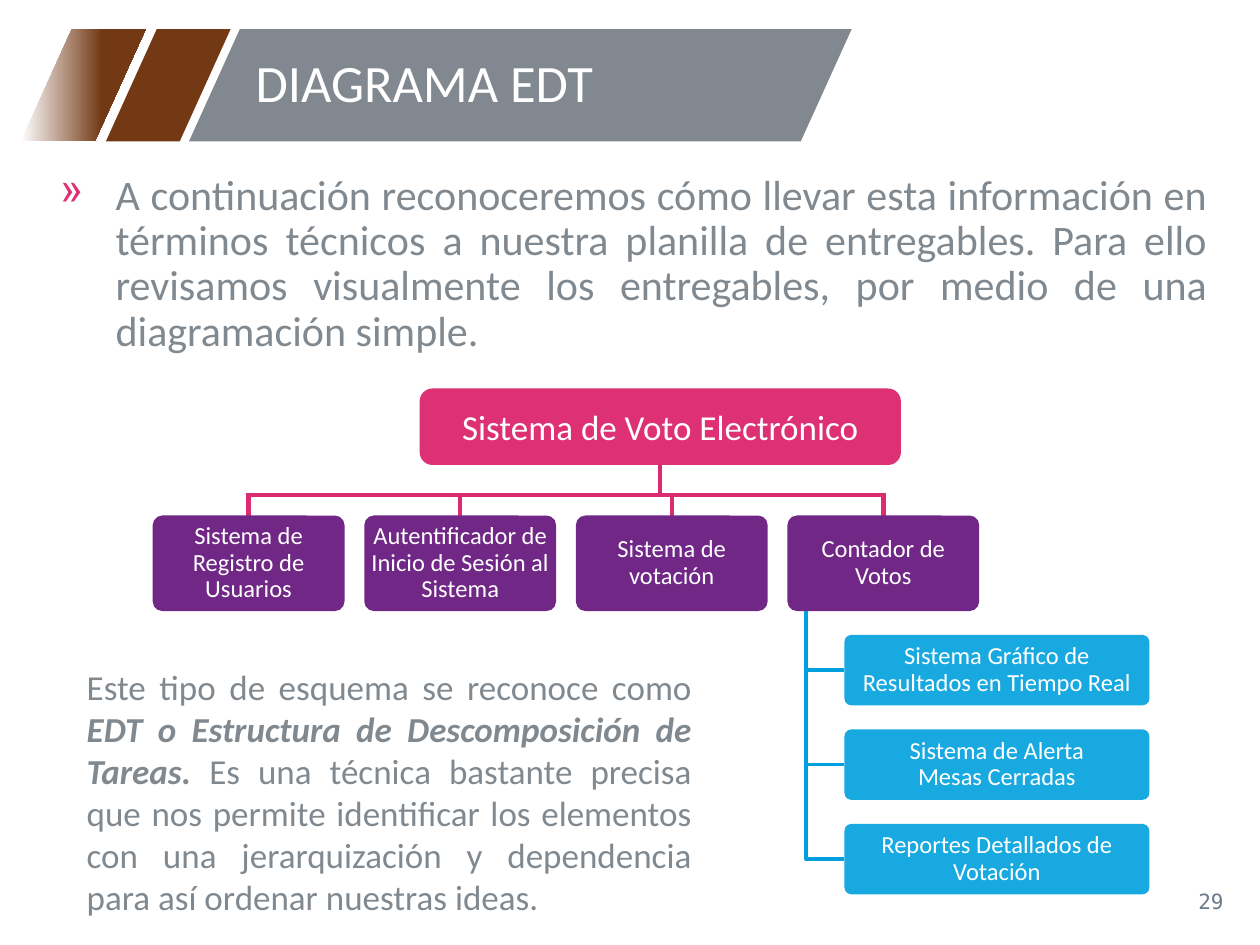
from dataclasses import dataclass

from lxml import etree
from pptx import Presentation
from pptx.dml.color import RGBColor
from pptx.enum import shapes, text
from pptx.oxml import ns
from pptx.util import Pt


@dataclass(frozen=True)
class Theme:
    white: str = "FFFFFF"
    brown: str = "733814"
    banner: str = "81888F"
    body: str = "818990"
    page: str = "6C7A8A"
    pink: str = "DE3075"
    branch: str = "DD2B72"
    purple: str = "702785"
    blue: str = "00A0DE"
    font: str = "Calibri"
    mono: str = "DejaVu Sans Mono"
    title_size: int = 30
    lead_size: int = 24
    text_size: int = 20
    box_size: int = 14
    page_size: int = 12


THEME = Theme()
LEFT, CENTER = text.PP_ALIGN.LEFT, text.PP_ALIGN.CENTER
RIGHT, JUSTIFY = text.PP_ALIGN.RIGHT, text.PP_ALIGN.JUSTIFY
TOP, MIDDLE = text.MSO_ANCHOR.TOP, text.MSO_ANCHOR.MIDDLE


def rgb(color):
    return RGBColor.from_string(color)


def write(shape, *pieces, size, color, font=THEME.font, align=LEFT, anchor=MIDDLE,
          margins=(7.2, 3.6), spacing=1.0, bullet=None):
    """Fill a shape with one paragraph; a (words,) tuple is bold italic."""
    frame = shape.text_frame
    frame.word_wrap = True
    frame.vertical_anchor = anchor
    frame.margin_left = frame.margin_right = Pt(margins[0])
    frame.margin_top = frame.margin_bottom = Pt(margins[1])
    paragraph = frame.paragraphs[0]
    if bullet:
        add_bullet(paragraph, bullet)
    paragraph.alignment = align
    paragraph.line_spacing = spacing
    for piece in pieces:
        stressed = isinstance(piece, tuple)
        words = piece[0] if stressed else piece
        for number, line in enumerate(words.split("\n")):
            if number:
                paragraph.add_line_break()
            run = paragraph.add_run()
            run.text = line
            run.font.name = font
            run.font.size = Pt(size)
            run.font.color.rgb = rgb(color)
            run.font.bold = run.font.italic = stressed


def add_bullet(paragraph, mark):
    properties = paragraph._p.get_or_add_pPr()
    properties.set("marL", str(Pt(36)))
    properties.set("indent", str(Pt(-31.7)))
    color = etree.SubElement(properties, ns.qn("a:buClr"))
    etree.SubElement(color, ns.qn("a:srgbClr"), val=THEME.pink)
    etree.SubElement(properties, ns.qn("a:buChar"), char=mark)


def add_text(slide, x, y, width, height, *pieces, **style):
    box = slide.shapes.add_textbox(Pt(x), Pt(y), Pt(width), Pt(height))
    write(box, *pieces, **style)


def add_block(slide, kind, x, y, width, height, color, corner, opacity=100):
    block = slide.shapes.add_shape(kind, Pt(x), Pt(y), Pt(width), Pt(height))
    block.shadow.inherit = False
    block.adjustments[0] = corner
    block.line.fill.background()
    block.fill.solid()
    block.fill.fore_color.rgb = rgb(color)
    if opacity < 100:
        tint = block._element.spPr.find(".//" + ns.qn("a:srgbClr"))
        etree.SubElement(tint, ns.qn("a:alpha"), val=str(opacity * 1000))
    return block


def add_node(slide, x, y, width, height, color, label, size=THEME.box_size,
             corner=0.1, opacity=100, spacing=0.9):
    node = add_block(slide, shapes.MSO_SHAPE.ROUNDED_RECTANGLE,
                     x, y, width, height, color, corner, opacity)
    write(node, label, size=size, color=THEME.white, align=CENTER,
          margins=(2, 1.5), spacing=spacing)
    return node


def add_branch(slide, x1, y1, x2, y2):
    branch = slide.shapes.add_connector(
        shapes.MSO_CONNECTOR.STRAIGHT, Pt(x1), Pt(y1), Pt(x2), Pt(y2))
    branch.line.color.rgb = rgb(THEME.branch)
    branch.line.width = Pt(2.5)
    etree.SubElement(branch._element.spPr, ns.qn("a:effectLst"))
    return branch


def add_elbow(slide, x1, y1, x2, y2):
    """Draw an open path that goes down and then right."""
    builder = slide.shapes.build_freeform(Pt(x1), Pt(y1))
    builder.add_line_segments([(Pt(x1), Pt(y2)), (Pt(x2), Pt(y2))], close=False)
    elbow = builder.convert_to_shape()
    elbow.shadow.inherit = False
    elbow.fill.background()
    elbow.line.color.rgb = rgb(THEME.blue)
    elbow.line.width = Pt(2)


def add_banner(slide):
    top, height = 16.6, 64.2
    stripes = [add_block(slide, shapes.MSO_SHAPE.PARALLELOGRAM,
                         x, top, width, height, color, 0.453)
               for x, width, color in [(60.5, 71.3, THEME.brown),
                                       (12, 71.3, THEME.brown),
                                       (108, 378.7, THEME.banner)]]
    fade = stripes[1].fill
    fade.gradient()
    fade.gradient_angle = 0
    for stop, color, position in zip(fade.gradient_stops,
                                     (THEME.white, THEME.brown), (0, 0.65)):
        stop.color.rgb = rgb(color)
        stop.position = position
    add_text(slide, 139, top, 337.7, height, "DIAGRAMA EDT",
             size=THEME.title_size, color=THEME.white, spacing=0.9)


def add_breakdown(slide):
    root_x, root_y, root_width, root_height = 239.8, 222, 275, 43.7
    part_x, part_y, part_width, part_height, part_step = 87.3, 294.6, 109.6, 54.6, 120.9
    detail_x, detail_y, detail_width, detail_height, detail_step = 482.5, 362.8, 174.3, 40.3, 54
    bus_y, stem_x = 282.9, 460.7

    parts = ["Sistema de Registro de Usuarios",
             "Autentificador de Inicio de Sesión al Sistema",
             "Sistema de votación", "Contador de Votos"]
    centers = [part_x + part_width / 2 + i * part_step for i in range(len(parts))]
    for center, label in zip(centers, parts):
        drop = add_branch(slide, center, bus_y, center, part_y)
        node = add_node(slide, center - part_width / 2, part_y,
                        part_width, part_height, THEME.purple, label)
        drop.end_connect(node, 0)

    details = ["Sistema Gráfico de Resultados en Tiempo Real",
               "Sistema de Alerta\nMesas Cerradas",
               "Reportes Detallados de Votación"]
    for i, label in enumerate(details):
        y = detail_y + i * detail_step
        add_elbow(slide, stem_x, part_y + part_height, detail_x, y + detail_height / 2)
        add_node(slide, detail_x, y, detail_width, detail_height,
                 THEME.blue, label, opacity=90)

    root = add_node(slide, root_x, root_y, root_width, root_height, THEME.pink,
                    "Sistema de Voto Electrónico", size=THEME.text_size,
                    corner=0.167, spacing=1.0)
    add_branch(slide, centers[0] - 1.25, bus_y, centers[-1] + 1.25, bus_y)
    root_center = root_x + root_width / 2
    trunk = add_branch(slide, root_center, root_y + root_height, root_center, bus_y)
    trunk.begin_connect(root, 2)


def main():
    deck = Presentation()
    deck.slide_width, deck.slide_height = Pt(720), Pt(540)
    slide = deck.slides.add_slide(deck.slide_layouts[6])
    add_banner(slide)
    add_text(slide, 544.3, 500.4, 162, 28.8, "29", size=THEME.page_size,
             color=THEME.page, font=THEME.mono, align=RIGHT)
    add_text(slide, 23, 95.8, 674, 131,
             "A continuación reconoceremos cómo llevar esta información en términos "
             "técnicos a nuestra planilla de entregables. Para ello revisamos visualmente "
             "los entregables, por medio de una diagramación simple.",
             size=THEME.lead_size, color=THEME.body, align=JUSTIFY, anchor=TOP,
             spacing=0.9, bullet="»")
    add_breakdown(slide)
    add_text(slide, 42.5, 376.6, 360, 152.6,
             "Este tipo de esquema se reconoce como ",
             ("EDT o Estructura de Descomposición de Tareas. ",),
             "Es una técnica bastante precisa que nos permite identificar los elementos "
             "con una jerarquización y dependencia para así ordenar nuestras ideas.",
             size=THEME.text_size, color=THEME.body, align=JUSTIFY, anchor=TOP)
    deck.save("out.pptx")


if __name__ == "__main__":
    main()
